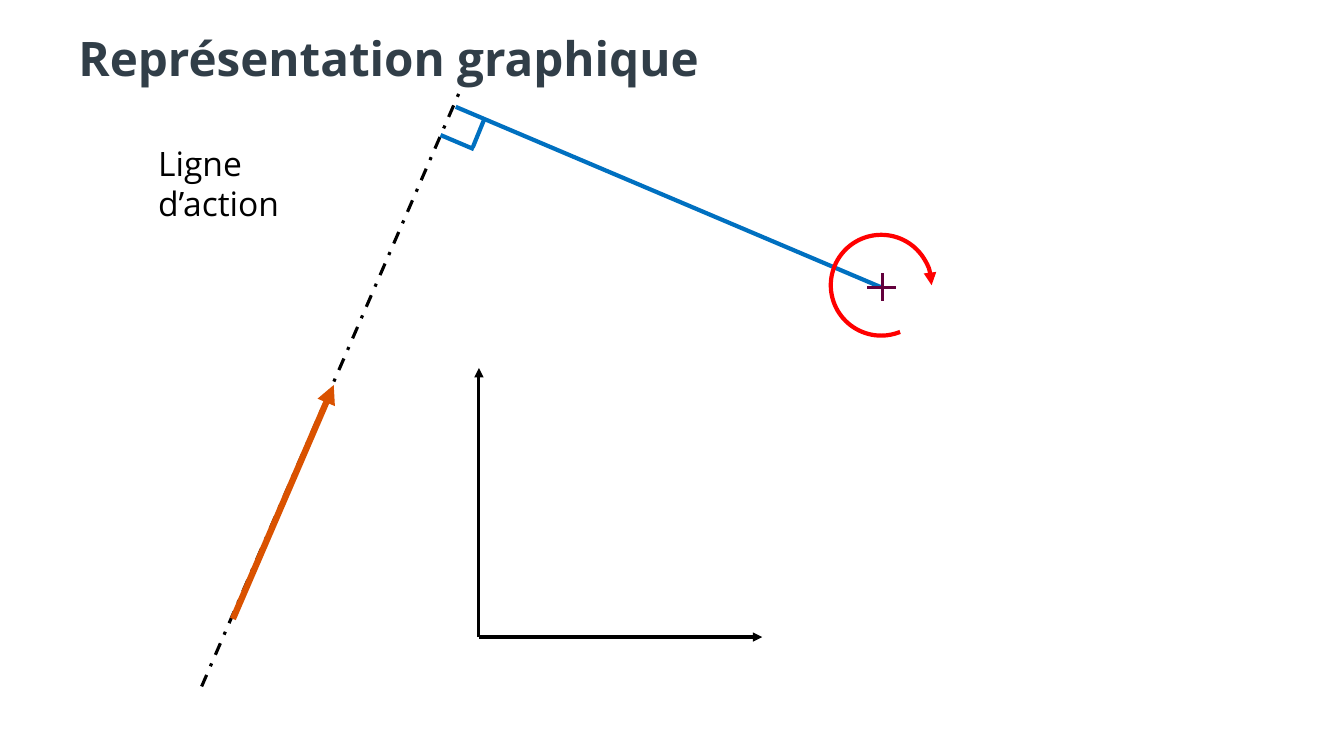
from pptx import Presentation
from pptx.dml.color import RGBColor
from pptx.enum.dml import MSO_LINE
from pptx.enum.shapes import MSO_CONNECTOR, MSO_SHAPE
from pptx.enum.text import MSO_ANCHOR, MSO_AUTO_SIZE
from pptx.oxml.ns import qn
from pptx.util import Pt
from lxml import etree

# Content: lengths in px, 100 px to the inch
SCALE = 9144
FONT = "Open Sans"
BLUE, BLACK, ORANGE, PURPLE, RED = "0070C0", "000000", "DA5200", "63003C", "FF0000"
TITLE = ("Représentation graphique", (68, 30, 1113, 61), 34, "313E48", True)
LABEL = ("Ligne d’action", (147, 137, 225, 50), 24, BLACK, False)

# Start, end, colour, width in points, dashed, arrow
LEVER_ARM = ((874, 285), (452, 106), BLUE, 3, False, False)
ACTION_LINE = ((200, 681), (458, 86), BLACK, 2.25, True, False)
FORCE = ((231, 614), (331, 382), ORANGE, 4.5, False, True)
PIVOT_CROSS = [
    ((860, 285), (889, 285), PURPLE, 2.25, False, False),
    ((875, 271), (875, 299), PURPLE, 2.25, False, False),
]
RIGHT_ANGLE = [
    ((470, 148), (437, 134), BLUE, 3, False, False),
    ((469, 146), (480, 119), BLUE, 3, False, False),
]
ORIGIN = (475, 632)
AXES = [(ORIGIN, end, BLACK, 2.25, False, True) for end in ((475, 365), (756, 632))]
ROTATION = ((824, 233, 100, 100), (40.79, 0))


def px(value):
    return value * SCALE


def color(code):
    return RGBColor.from_string(code)


def style_line(line, code, width, arrow):
    line.color.rgb = color(code)
    line.width = Pt(width)
    if arrow:
        etree.SubElement(line._get_or_add_ln(), qn("a:tailEnd"), type="triangle")


def add_line(page, start, end, code, width, dashed, arrow):
    line = page.shapes.add_connector(MSO_CONNECTOR.STRAIGHT, *map(px, start + end))
    if dashed:
        line.line.dash_style = MSO_LINE.DASH_DOT
    style_line(line.line, code, width, arrow)
    etree.SubElement(line._element.spPr, qn("a:effectLst"))


def add_text(page, text, place, size, code, bold):
    box = page.shapes.add_textbox(*map(px, place))
    box.text_frame.word_wrap = True
    para = box.text_frame.paragraphs[0]
    span = para.add_run()
    span.text = text
    span.font.name = FONT
    span.font.size = Pt(size)
    span.font.bold = bold
    span.font.color.rgb = color(code)
    return box.text_frame


def main():
    deck = Presentation()
    deck.slide_width, deck.slide_height = px(1333), px(750)
    page = deck.slides.add_slide(deck.slide_layouts[6])

    # Lever arm and line of action, below the title
    add_line(page, *LEVER_ARM)
    add_line(page, *ACTION_LINE)
    title = add_text(page, *TITLE)
    title.vertical_anchor = MSO_ANCHOR.MIDDLE
    title.paragraphs[0].line_spacing = 0.9

    # Force, pivot and label
    for part in [FORCE] + PIVOT_CROSS:
        add_line(page, *part)
    label = add_text(page, *LABEL)
    label.auto_size = MSO_AUTO_SIZE.SHAPE_TO_FIT_TEXT

    # Right angle mark
    for part in RIGHT_ANGLE:
        add_line(page, *part)

    # Direction of rotation
    place, angles = ROTATION
    arc = page.shapes.add_shape(MSO_SHAPE.ARC, *map(px, place))
    arc.shadow.inherit = False
    arc.fill.background()
    for index, angle in enumerate(angles):
        arc.adjustments[index] = angle
    style_line(arc.line, RED, 3, True)

    # Axes
    for axis in AXES:
        add_line(page, *axis)

    deck.save("out.pptx")


if __name__ == "__main__":
    main()
